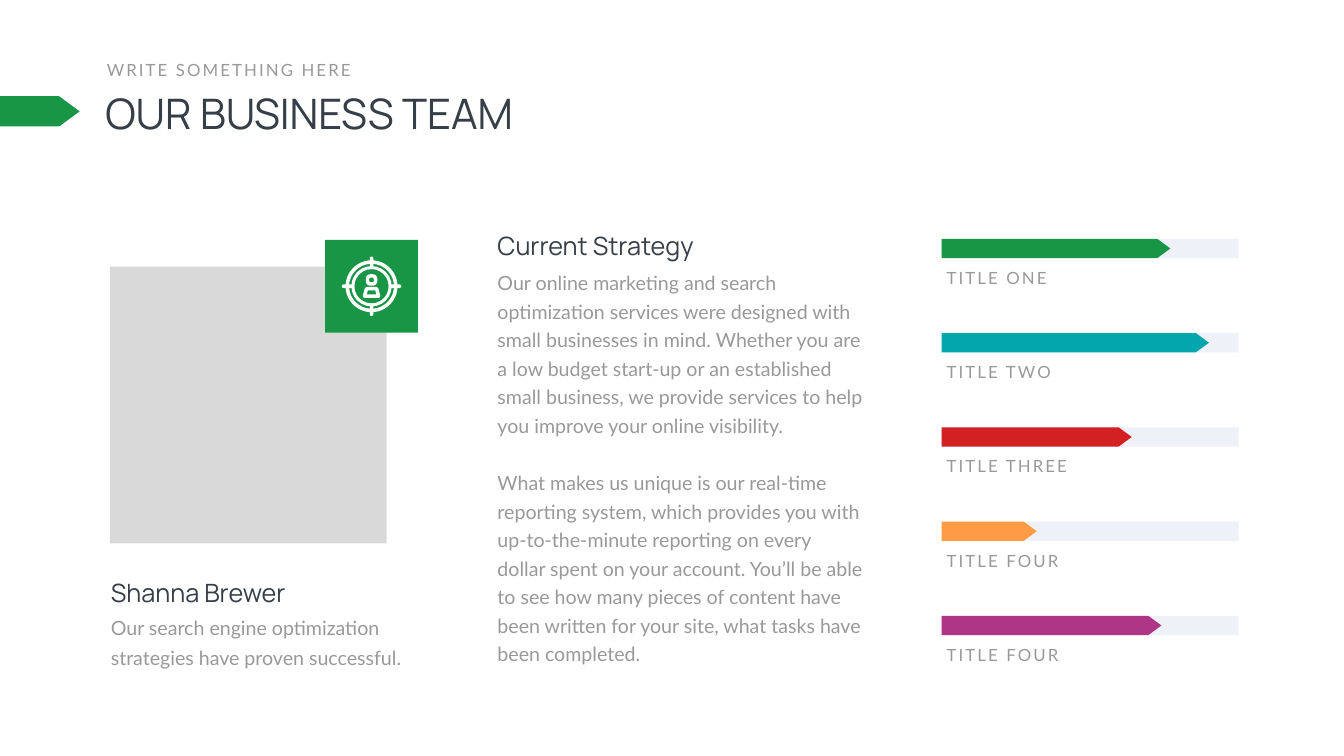
from dataclasses import dataclass

from lxml import etree
from pptx import Presentation
from pptx.dml.color import RGBColor
from pptx.enum.shapes import MSO_SHAPE as Preset
from pptx.enum.text import MSO_AUTO_SIZE as AutoSize, PP_ALIGN as Align
from pptx.oxml.ns import qn
from pptx.util import Inches, Pt

# The grid has square cells: one column and one row are each 0.1 inch.
CELL = Inches(0.1)
COLUMNS, ROWS = 266.6, 150


@dataclass(frozen=True)
class Theme:
    heading_font: str = "Manrope"
    body_font: str = "Lato"
    title_size: int = 60
    heading_size: int = 36
    body_size: int = 28
    label_size: int = 24
    label_spacing: int = 3
    ink: str = "363E48"
    muted: str = "999999"
    white: str = "FFFFFF"
    photo: str = "D9D9D9"
    track: str = "EFF1F8"
    green: str = "199645"
    teal: str = "02A7AD"
    red: str = "D32023"
    orange: str = "FF9A45"
    purple: str = "AF3686"


THEME = Theme()
ARROW_POINT = 0.678


@dataclass(frozen=True)
class Box:
    """A rectangle measured in columns and rows of the grid."""
    left: float
    top: float
    width: float
    height: float

    def area(self, column, row, width, height):
        return Box(self.left + column, self.top + row, width, height)

    def centred(self, width, height, right=0, down=0):
        return self.area((self.width - width) / 2 + right,
                         (self.height - height) / 2 + down, width, height)

    def lengths(self):
        return [round(n * CELL) for n in (self.left, self.top, self.width, self.height)]


def add_block(page, box, color, preset=Preset.RECTANGLE, adjust=None):
    shape = page.shapes.add_shape(preset, *box.lengths())
    shape.shadow.inherit = False
    shape.fill.solid()
    shape.fill.fore_color.rgb = RGBColor.from_string(color)
    shape.line.fill.background()
    if adjust is not None:
        shape.adjustments[0] = adjust
    return shape


def add_outline(page, box, color, preset, adjust, weight):
    shape = add_block(page, box, color, preset, adjust)
    shape.fill.background()
    shape.line.color.rgb = RGBColor.from_string(color)
    shape.line.width = Pt(weight)
    etree.SubElement(shape.element.spPr.find(qn("a:ln")), qn("a:round"))


def add_text(page, box, paragraphs, font, size, color, wrap=True, leading=None, spacing=0):
    frame = page.shapes.add_textbox(*box.lengths()).text_frame
    frame.word_wrap = wrap
    frame.auto_size = AutoSize.SHAPE_TO_FIT_TEXT
    frame.text = "\n".join(paragraphs)
    for index, para in enumerate(frame.paragraphs):
        para.alignment = Align.LEFT
        if leading:
            para.line_spacing = Pt(leading)
            if index:
                para.space_before = Pt(leading)
        for span in para.runs:
            span.font.name = font
            span.font.size = Pt(size)
            span.font.color.rgb = RGBColor.from_string(color)
            if spacing:
                span._r.get_or_add_rPr().set("spc", str(spacing * 100))


def add_label(page, box, text):
    add_text(page, box, [text], THEME.body_font, THEME.label_size, THEME.muted,
             wrap=False, spacing=THEME.label_spacing)


def add_heading(page, box, text):
    add_text(page, box, [text], THEME.heading_font, THEME.heading_size, THEME.ink, wrap=False)


def add_body(page, box, paragraphs, leading):
    add_text(page, box, paragraphs, THEME.body_font, THEME.body_size, THEME.muted,
             leading=leading)


def draw_header(page, box):
    add_block(page, box.area(0, 7.8, 15.8, 6), THEME.green, Preset.PENTAGON, ARROW_POINT)
    add_label(page, box.area(20.2, 0, 51.4, 5), "WRITE SOMETHING HERE")
    add_text(page, box.area(19.9, 5.5, 104.3, 11.1), ["OUR BUSINESS TEAM"],
             THEME.heading_font, THEME.title_size, THEME.ink)


def draw_target_badge(page, box):
    add_block(page, box, THEME.green)
    # Two rings: diameter and band thickness
    for diameter, band in ((10.3, 0.7), (8, 0.6)):
        add_block(page, box.centred(diameter, diameter), THEME.white,
                  Preset.DONUT, band / diameter)
    # Cross-hair marks on the four sides
    length, thickness, reach = 2.5, 0.7, 4.65
    for side in (-1, 1):
        for mark in (box.centred(length, thickness, right=side * reach),
                     box.centred(thickness, length, down=side * reach)):
            add_block(page, mark, THEME.white, Preset.ROUNDED_RECTANGLE, 0.5)
    # Head and shoulders
    add_outline(page, box.centred(1.6, 1.6, down=-1.25), THEME.white,
                Preset.ROUNDED_RECTANGLE, 0.35, 5)
    add_outline(page, box.centred(2.8, 1.5, down=1.2), THEME.white,
                Preset.TRAPEZOID, 0.27, 5)


def draw_member(page, box):
    add_block(page, box.area(0.8, 5.3, 54.9, 54.9), THEME.photo)
    draw_target_badge(page, box.area(43.5, 0, 18.4, 18.4))
    add_heading(page, box.area(0, 66.4, 40.5, 7.1), "Shanna Brewer")
    add_body(page, box.area(0, 72.8, box.width, 12.5),
             ["Our search engine optimization strategies have proven successful."], 43)


def draw_strategy(page, box):
    add_heading(page, box.area(0, 0, 44.3, 7.1), "Current Strategy")
    add_body(page, box.area(0, 7, box.width, 80.9), [
        "Our online marketing and search optimization services were designed with "
        "small businesses in mind. Whether you are a low budget start-up or an "
        "established small business, we provide services to help you improve your "
        "online visibility.",
        "What makes us unique is our real-time reporting system, which provides you "
        "with up-to-the-minute reporting on every dollar spent on your account. "
        "You’ll be able to see how many pieces of content have been written for your "
        "site, what tasks have been completed.",
    ], 40.8)


def draw_skills(page, box):
    # Title, label width, share of the track filled, colour
    skills = (
        ("TITLE ONE", 22.5, 0.77, THEME.green),
        ("TITLE TWO", 23.5, 0.9, THEME.teal),
        ("TITLE THREE", 26.7, 0.64, THEME.red),
        ("TITLE FOUR", 24.9, 0.32, THEME.orange),
        ("TITLE FOUR", 24.9, 0.74, THEME.purple),
    )
    bar_height, label_drop, label_height = 3.8, 5.2, 5
    step = (box.height - label_drop - label_height) / (len(skills) - 1)
    for index, (title, label_width, share, color) in enumerate(skills):
        row = index * step
        add_block(page, box.area(0, row, box.width, bar_height), THEME.track)
        add_block(page, box.area(0, row, box.width * share, bar_height), color,
                  Preset.PENTAGON, ARROW_POINT)
        add_label(page, box.area(0, row + label_drop, label_width, label_height), title)


def main():
    deck = Presentation()
    deck.slide_width, deck.slide_height = round(COLUMNS * CELL), ROWS * CELL
    page = deck.slides.add_slide(deck.slide_layouts[6])
    page.background.fill.solid()
    page.background.fill.fore_color.rgb = RGBColor.from_string(THEME.white)

    draw_header(page, Box(0, 11.3, COLUMNS, 16.6))
    draw_member(page, Box(21, 47.6, 63.4, 85.3))
    draw_strategy(page, Box(97.7, 45.3, 74.4, 87.9))
    draw_skills(page, Box(186.8, 47.4, 58.9, 85))
    deck.save("out.pptx")


if __name__ == "__main__":
    main()
